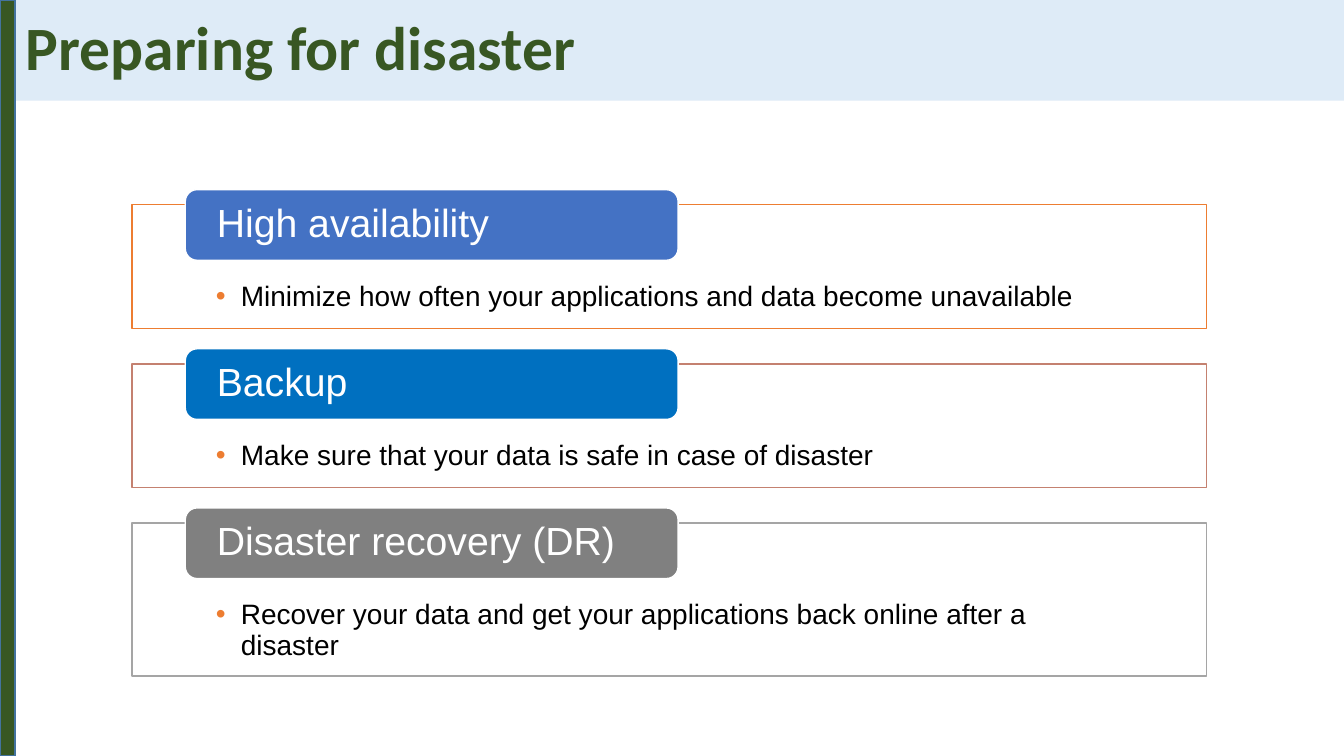
import pptx
import pptx.dml.color
import pptx.enum.shapes
import pptx.enum.text
import pptx.oxml
import pptx.oxml.ns
import pptx.util
from lxml import etree

Cm = pptx.util.Cm
Pt = pptx.util.Pt
RGB = pptx.dml.color.RGBColor.from_string
qn = pptx.oxml.ns.qn
RECT = pptx.enum.shapes.MSO_SHAPE.RECTANGLE
ROUNDED = pptx.enum.shapes.MSO_SHAPE.ROUNDED_RECTANGLE
TOP = pptx.enum.text.MSO_ANCHOR.TOP
MIDDLE = pptx.enum.text.MSO_ANCHOR.MIDDLE

COLORS = {
    "white": "FFFFFF", "black": "000000", "green": "385723",
    "banner": "DEEBF7", "stripe_edge": "43739E", "orange": "ED7D31",
    "blue": "4472C4", "rust": "C48170", "azure": "0070C0",
    "silver": "A5A5A5", "gray": "808080",
}


def add_panel(kind, left, top, width, height, fill, line=None):
    panel = slide.shapes.add_shape(kind, Cm(left), Cm(top), Cm(width), Cm(height))
    panel.shadow.inherit = False
    panel.fill.solid()
    panel.fill.fore_color.rgb = RGB(COLORS[fill])
    if line:
        panel.line.color.rgb = RGB(COLORS[line])
        panel.line.width = Pt(1)
    else:
        panel.line.fill.background()
    return panel


def write(panel, text, size, color, font="Arial", bold=False, anchor=MIDDLE,
          insets=(0.25, 0.13, 0.25, 0.13)):
    frame = panel.text_frame
    frame.word_wrap = True
    frame.vertical_anchor = anchor
    (frame.margin_left, frame.margin_top,
     frame.margin_right, frame.margin_bottom) = map(Cm, insets)
    paragraph = frame.paragraphs[0]
    paragraph.alignment = pptx.enum.text.PP_ALIGN.LEFT
    paragraph.line_spacing = 0.9
    run = paragraph.add_run()
    run.text = text
    run.font.size = Pt(size)
    run.font.name = font
    run.font.bold = bold
    run.font.color.rgb = RGB(COLORS[color])
    return paragraph


deck = pptx.Presentation()
deck.slide_width, deck.slide_height = Cm(33.87), Cm(19.05)
slide = deck.slides.add_slide(deck.slide_layouts[6])

# Title banner and side stripe
banner = add_panel(RECT, 0.4, 0, 33.47, 2.54, "banner")
write(banner, "Preparing for disaster", 44, "green", font="Calibri", bold=True)
add_panel(RECT, 0, 0, 0.38, 19.05, "green", "stripe_edge")

# Strategies: heading, description, heading fill, box outline, box height
strategies = [
    ("High availability",
     "Minimize how often your applications and data become unavailable",
     "blue", "orange", 3.12),
    ("Backup", "Make sure that your data is safe in case of disaster",
     "azure", "rust", 3.12),
    ("Disaster recovery (DR)",
     "Recover your data and get your applications back online after a disaster",
     "gray", "silver", 3.86),
]
FIRST_TOP, PITCH, TAB_RISE = 5.16, 4.01, 0.38

for index, (heading, description, tab_fill, outline, height) in enumerate(strategies):
    top = FIRST_TOP + index * PITCH

    # Description box, slightly transparent
    box = add_panel(RECT, 3.33, top, 27.08, height, "white", outline)
    fill_color = box.fill._xPr.find(qn("a:solidFill"))[0]
    etree.SubElement(fill_color, qn("a:alpha"), val="90000")
    bullet_line = write(box, description, 20, "black", anchor=TOP,
                        insets=(2.11, 1.96, 2.11, 0.41))

    # Orange bullet with hanging indent
    bullet_line.level = 1
    properties = bullet_line._p.get_or_add_pPr()
    properties.set("marL", str(Cm(0.63)))
    properties.set("indent", str(Cm(-0.63)))
    bullet_color = etree.SubElement(properties, qn("a:buClr"))
    etree.SubElement(bullet_color, qn("a:srgbClr"), val=COLORS["orange"])
    etree.SubElement(properties, qn("a:buFont"), typeface="Arial")
    etree.SubElement(properties, qn("a:buChar"), char="•")

    # Heading tab
    tab = add_panel(ROUNDED, 4.67, top - TAB_RISE, 12.42, 1.78, tab_fill, "white")
    write(tab, heading, 28, "white", insets=(0.71, 0, 0.71, 0))

deck.save("out.pptx")
